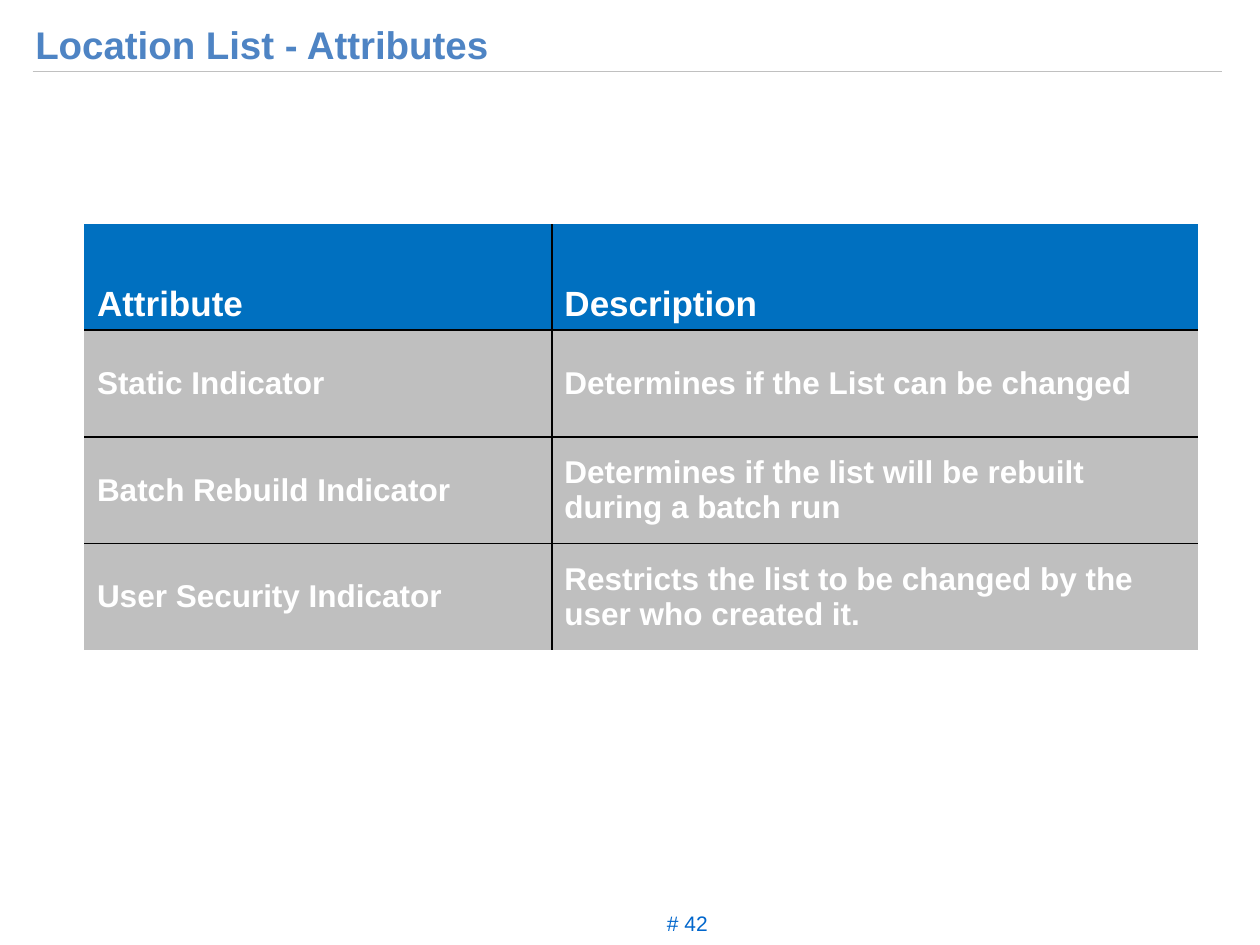
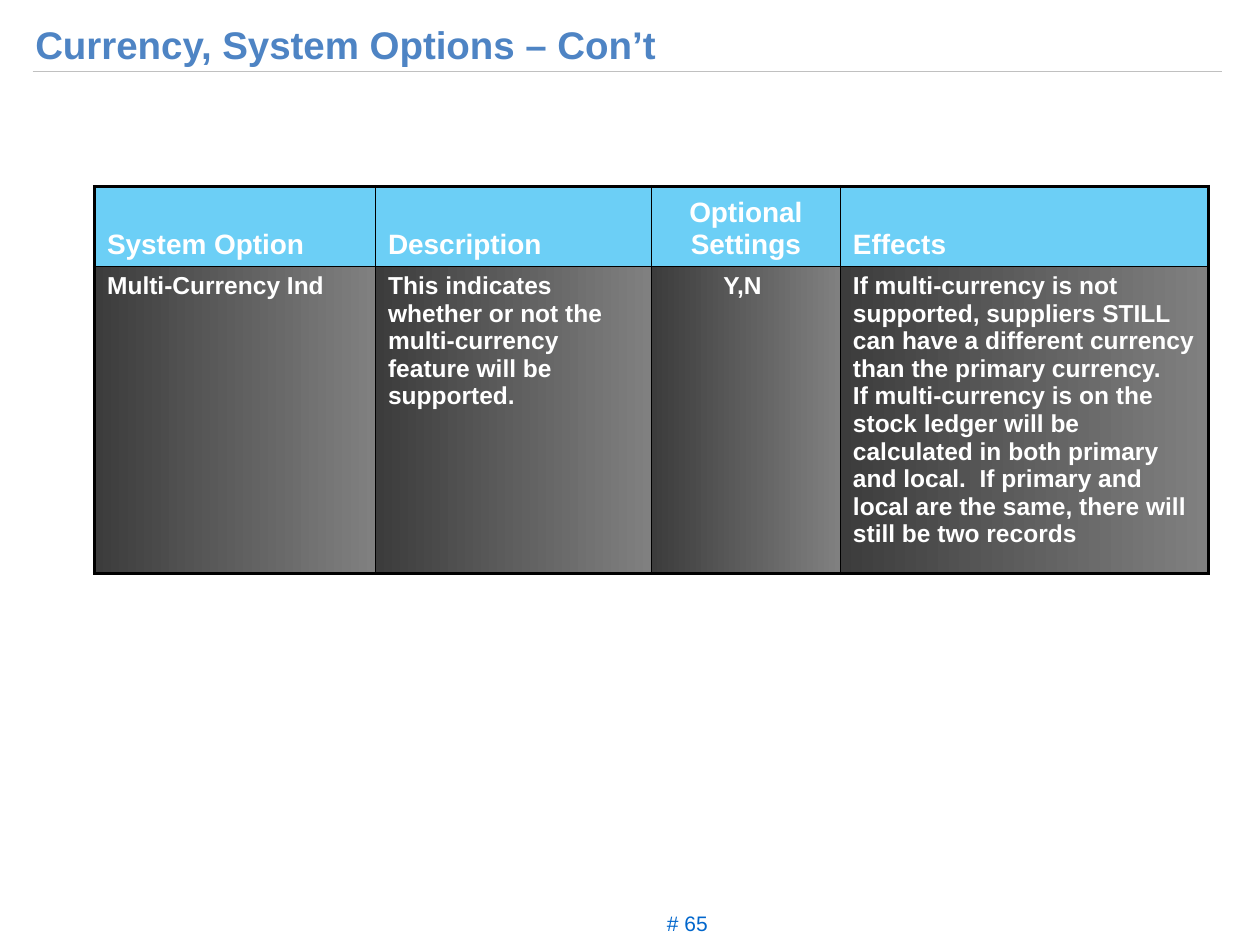
"""Build two attribute-table slides that share a title, a rule and a page number."""
from lxml import etree
from pptx import Presentation
from pptx.dml.color import RGBColor
from pptx.enum.shapes import MSO_CONNECTOR
from pptx.enum.text import MSO_ANCHOR, PP_ALIGN
from pptx.oxml.ns import qn
from pptx.util import Inches, Pt

LEFT, CENTER = PP_ALIGN.LEFT, PP_ALIGN.CENTER
TOP, MIDDLE, BOTTOM = MSO_ANCHOR.TOP, MSO_ANCHOR.MIDDLE, MSO_ANCHOR.BOTTOM
STRAIGHT = MSO_CONNECTOR.STRAIGHT

COLORS = {
    "title": "4E84C4", "rule": "C0C0C0", "number": "0066CC",
    "text": "FFFFFF", "border": "000000", "blue": "0070C0",
    "sky": "6CCFF6", "gray": "BFBFBF", "dark": "3C3C3C", "mid": "808080",
}

SLIDES = [
    {
        "title": "Location List - Attributes", "number": "# 42",
        "left": 6.7, "top": 23.73, "cols": [37.1, 51.3],
        "rows": [11.2, 11.3, 11.3, 11.3], "aligns": [LEFT, LEFT],
        "head": {"fill": ["blue"], "size": 20, "anchor": BOTTOM, "spacing": 1.1},
        "body": {"fill": ["gray"], "size": 18, "anchor": MIDDLE, "spacing": 1.0},
        "outer": 0,
        "cells": [
            ["Attribute", "Description"],
            ["Static Indicator", "Determines if the List can be changed"],
            ["Batch Rebuild Indicator",
             "Determines if the list will be rebuilt during a batch run"],
            ["User Security Indicator",
             "Restricts the list to be changed by the user who created it."],
        ],
    },
    {
        "title": "Currency, System Options – Con’t", "number": "# 65",
        "left": 7.5, "top": 19.73, "cols": [22.3, 21.9, 15, 29.2],
        "rows": [8.3, 32.4], "aligns": [LEFT, LEFT, CENTER, LEFT],
        "head": {"fill": ["sky"], "size": 16, "anchor": BOTTOM, "spacing": 1.0},
        "body": {"fill": ["dark", "mid"], "size": 14, "anchor": TOP, "spacing": 1.0},
        "outer": 2,
        "cells": [
            ["System Option", "Description", "Optional Settings", "Effects"],
            ["Multi-Currency Ind",
             "This indicates whether or not the multi-currency feature will be supported.",
             "Y,N ",
             "If multi-currency is not supported, suppliers STILL can have a different "
             "currency than the primary currency.\n"
             "If multi-currency is on the stock ledger will be calculated in both primary "
             "and local.  If primary and local are the same, there will still be two records"],
        ],
    },
]


def style_text(tf, color, size, bold, align, spacing):
    """Format every paragraph of a text frame."""
    for p in tf.paragraphs:
        p.alignment, p.line_spacing, p.space_before = align, spacing, Pt(0)
        font = {"name": "Arial", "size": Pt(size), "bold": bold}
        for r in p.runs:
            for key, value in font.items():
                setattr(r.font, key, value)
            r.font.color.rgb = RGBColor.from_string(COLORS[color])


def set_borders(cell, widths):
    """Draw the left, right, top and bottom borders; a width of 0 hides one."""
    tcPr = cell._tc.get_or_add_tcPr()
    for i, (side, width) in enumerate(zip("LRTB", widths)):
        ln = etree.Element(qn(f"a:ln{side}"), w=str(int(Pt(width))))
        if width:
            fill = etree.SubElement(ln, qn("a:solidFill"))
            etree.SubElement(fill, qn("a:srgbClr"), val=COLORS["border"])
        else:
            etree.SubElement(ln, qn("a:noFill"))
        tcPr.insert(i, ln)


prs = Presentation()
prs.slide_width, prs.slide_height = Inches(10), Inches(7.5)
X, Y = prs.slide_width / 100, prs.slide_height / 100

for spec_row in SLIDES:
    s = prs.slides.add_slide(prs.slide_layouts[5])

    rule = s.shapes.add_connector(
        STRAIGHT, int(2.6 * X), int(7.6 * Y), int(97 * X), int(7.6 * Y))
    rule.line.color.rgb = RGBColor.from_string(COLORS["rule"])
    rule.line.width = Pt(0.75)
    etree.SubElement(rule._element.spPr, qn("a:effectLst"))

    title = s.shapes.title
    box = {"left": 1.8 * X, "top": 0.8 * Y, "width": 95.7 * X, "height": 6.6 * Y}
    for key, value in box.items():
        setattr(title, key, int(value))
    title.text_frame.text = spec_row["title"]
    title.text_frame.vertical_anchor = TOP
    style_text(title.text_frame, "title", 22, True, LEFT, 1.15)

    sp = s.shapes.add_textbox(int(50.8 * X), int(95.6 * Y), int(7.5 * X), int(4 * Y))
    sp.text_frame.word_wrap = True
    sp.text_frame.text = spec_row["number"]
    style_text(sp.text_frame, "number", 12, False, CENTER, 1.04)

    cols, rows, outer = spec_row["cols"], spec_row["rows"], spec_row["outer"]
    table = s.shapes.add_table(
        len(rows), len(cols), int(spec_row["left"] * X), int(spec_row["top"] * Y),
        int(sum(cols) * X), int(sum(rows) * Y)).table
    table.first_row = table.horz_banding = False
    for col, width in zip(table.columns, cols):
        col.width = int(width * X)
    for row, height in zip(table.rows, rows):
        row.height = int(height * Y)

    for i, texts in enumerate(spec_row["cells"]):
        look = spec_row["body" if i else "head"]
        for j, text in enumerate(texts):
            cell = table.cell(i, j)
            cell.text_frame.text = text
            cell.vertical_anchor = look["anchor"]
            style_text(cell.text_frame, "text", look["size"], True,
                       spec_row["aligns"][j], look["spacing"])
            if len(look["fill"]) == 1:
                cell.fill.solid()
                cell.fill.fore_color.rgb = RGBColor.from_string(COLORS[look["fill"][0]])
            else:
                cell.fill.gradient()
                cell.fill.gradient_angle = 0
                for stop, name in zip(cell.fill.gradient_stops, look["fill"]):
                    stop.color.rgb = RGBColor.from_string(COLORS[name])
            edges = [j == 0, j == len(cols) - 1, i == 0, i == len(rows) - 1]
            set_borders(cell, [outer if edge else 1 for edge in edges])

prs.save("out.pptx")
